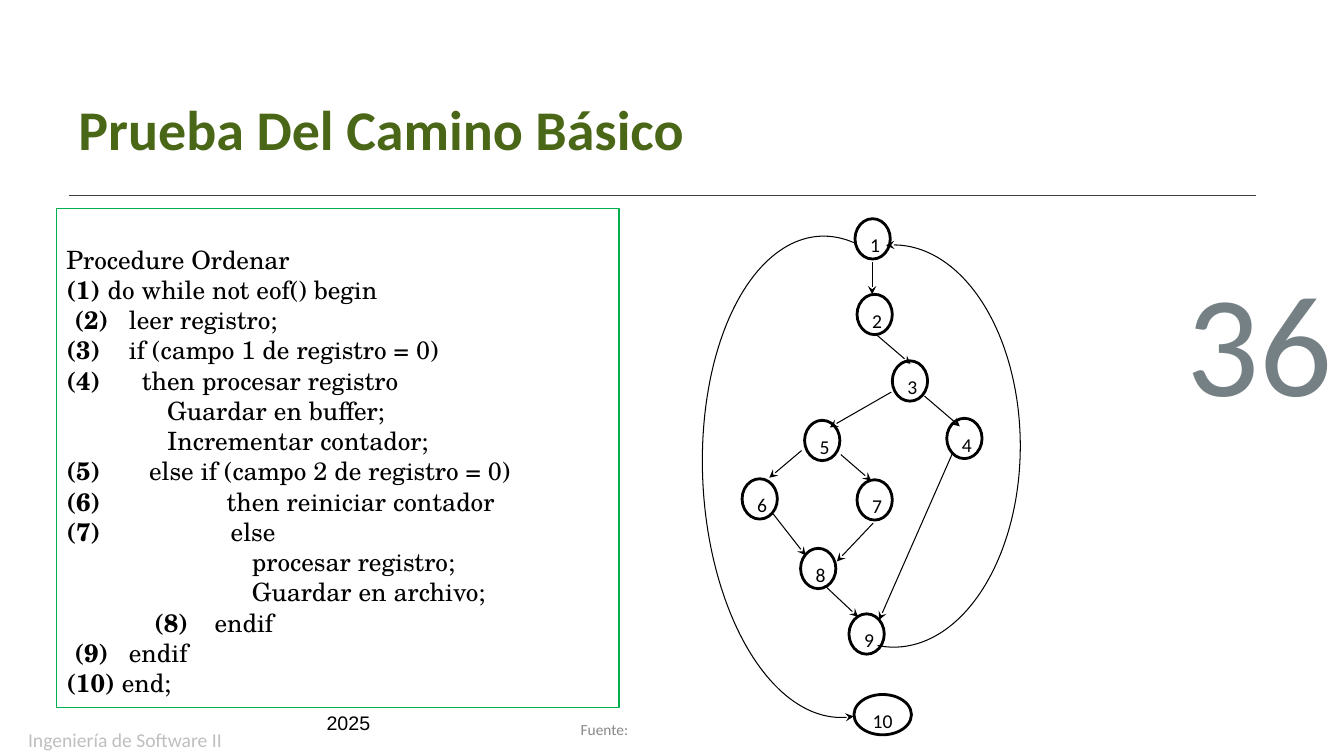
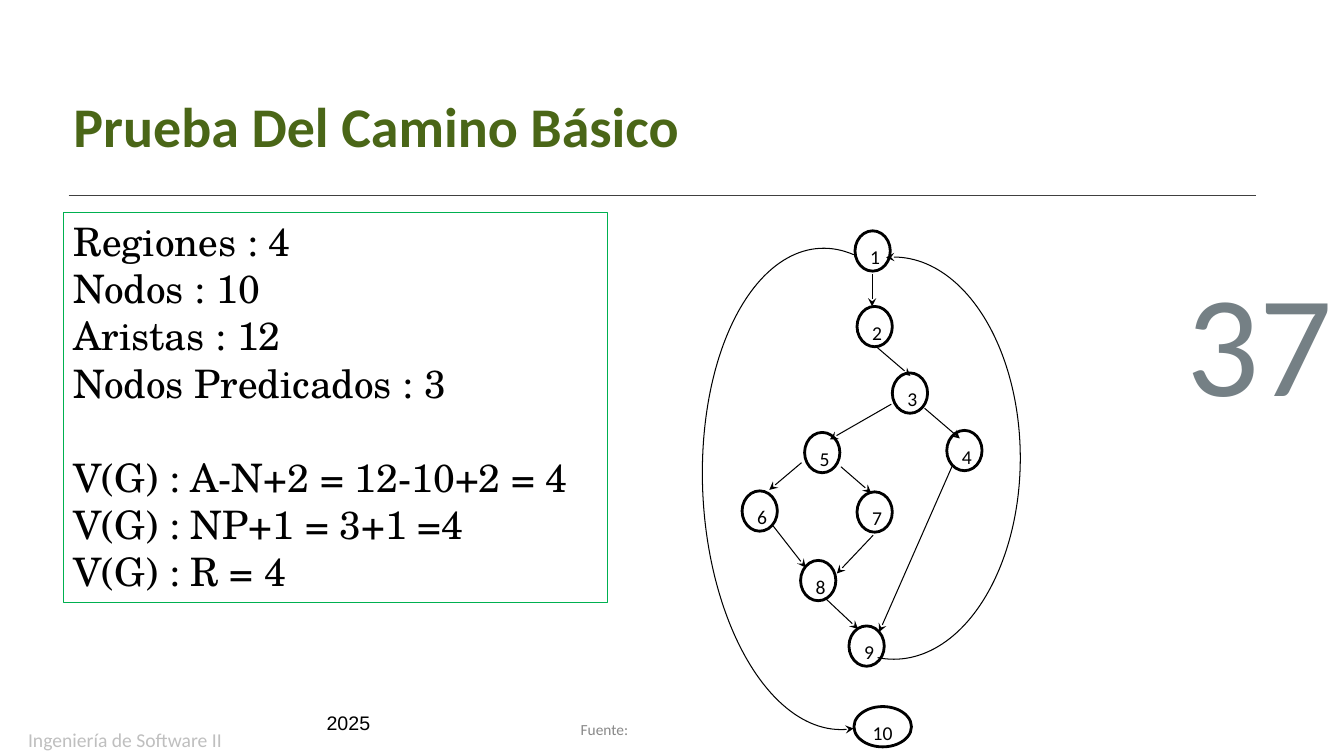
from dataclasses import dataclass

from lxml import etree
from pptx import Presentation
from pptx import util as u
from pptx.dml.color import RGBColor
from pptx.enum import shapes, text
from pptx.oxml.ns import qn

CELL = 0.1  # inches in one column or row of the grid
COLUMNS, ROWS = 133.3, 75

Area = tuple[float, float, float, float]  # column, row, columns wide, rows high


@dataclass(frozen=True)
class Theme:
    ink: str = "000000"
    title: str = "4A6617"
    rule: str = "404040"
    frame: str = "00B050"
    number: str = "758085"
    source: str = "888888"
    course: str = "BFBFBF"
    sans: str = "Calibri"
    serif: str = "TeX Gyre Schola"
    date: str = "Arial"
    title_size: float = 40
    number_size: float = 103
    code_size: float = 18
    result_size: float = 28
    small_size: float = 14
    source_size: float = 11
    thin: float = 0.75
    thick: float = 2


THEME = Theme()


@dataclass(frozen=True)
class Line:
    """A paragraph; its bold marker hangs to the left of the body."""
    body: str
    marker: str = ""
    indent: float = 0
    marker_at: float = 0
    before: float = 0


@dataclass(frozen=True)
class Node:
    label: str
    column: float
    row: float
    columns: float = 3.5


@dataclass(frozen=True)
class Edge:
    start: tuple[float, float]
    end: tuple[float, float]


@dataclass(frozen=True)
class Loop:
    area: Area
    sweep: tuple[float, float]
    rotation: float = 0


CODE = [
    Line("Procedure Ordenar"),
    Line("do while not eof() begin", "(1)", 4.1),
    Line("leer registro;", "(2)", 6.2, 0.8),
    Line("if (campo 1 de registro = 0)", "(3)", 6.2),
    Line("then procesar registro", "(4)", 7.5),
    Line("Guardar en buffer;", indent=10),
    Line("Incrementar contador;", indent=10),
    Line("else if (campo 2 de registro = 0)", "(5)", 8.2),
    Line("then reiniciar contador", "(6)", 15.9),
    Line("else", "(7)", 16.3),
    Line("procesar registro;", indent=18.4),
    Line("Guardar en archivo;", indent=18.4),
    Line("endif", "(8)", 14.7, 8.7),
    Line("endif", "(9)", 6.2, 0.8),
    Line("end;", "(10)", 5.5),
]
RESULTS = [
    Line("Regiones : 4"),
    Line("Nodos : 10"),
    Line("Aristas : 12"),
    Line("Nodos Predicados : 3"),
    Line("V(G) : A-N+2 = 12-10+2 = 4", before=33.6),
    Line("V(G) : NP+1 = 3+1 =4"),
    Line("V(G) : R = 4"),
]

# Rows of the flow graph count from the top of node 1.
NODES = [
    Node("1", 84.8, 0), Node("2", 85, 7.5), Node("3", 88.5, 14.1),
    Node("4", 93.9, 19.8), Node("5", 79.8, 20), Node("6", 73.6, 25.8),
    Node("7", 85, 25.9), Node("8", 79.4, 32.7), Node("9", 84.2, 39.2),
    Node("10", 84.7, 47.2, 5.7),
]
EDGES = [
    Edge((86.5, 4.3), (86.5, 7.5)), Edge((86.8, 11.4), (90.3, 14.4)),
    Edge((91.7, 17.6), (95.2, 20.6)), Edge((88.4, 17.2), (82.3, 20.7)),
    Edge((79.5, 23), (76.3, 25.7)), Edge((83.4, 23.4), (86.4, 26)),
    Edge((76.7, 29.3), (79.9, 33.4)), Edge((86.6, 30.2), (83, 34)),
    Edge((81.8, 36.4), (85.1, 39.5)), Edge((94.5, 23.2), (87.2, 39.8)),
]
LOOPS = [
    Loop((76.1, 2.6, 25.1, 39.9), (160.69, 56.79)),
    Loop((69.7, 1.7, 25.7, 47.8), (160.69, 58.89), 177.1),
]


def cells(*counts: float) -> list[u.Emu]:
    return [u.Inches(count * CELL) for count in counts]


def color(code: str) -> RGBColor:
    return RGBColor.from_string(code)


def write(box, lines: list[Line], *, size: float, font: str = THEME.sans,
          ink: str = THEME.ink, bold: bool = False, align=text.PP_ALIGN.LEFT,
          anchor=text.MSO_ANCHOR.TOP, spacing: float = 1, top: float = 0.5) -> None:
    frame = box.text_frame
    frame.word_wrap = True
    frame.vertical_anchor = anchor
    frame.margin_left, frame.margin_top, frame.margin_right, frame.margin_bottom = cells(1, top, 1, 0.5)
    for index, line in enumerate(lines):
        para = frame.add_paragraph() if index else frame.paragraphs[0]
        para.alignment, para.line_spacing = align, spacing
        para.space_before = u.Pt(line.before)
        if line.indent:
            hang = line.marker_at - line.indent if line.marker else 0
            margin, first = cells(line.indent, hang)
            para._p.get_or_add_pPr().set("marL", str(margin))
            para._p.get_or_add_pPr().set("indent", str(first))
        spans = [(line.marker + "\t", True)] if line.marker else []
        for words, strong in spans + [(line.body, bold)]:
            span = para.add_run()
            span.text = words
            span.font.name, span.font.size, span.font.bold = font, u.Pt(size), strong
            span.font.color.rgb = color(ink)


def add_label(page, area: Area, words: str, **style) -> None:
    write(page.shapes.add_textbox(*cells(*area)), [Line(words)], **style)


def add_outline(page, kind, area: Area, ink: str, width: float):
    shape = page.shapes.add_shape(kind, *cells(*area))
    shape.shadow.inherit = False
    shape.fill.background()
    shape.line.color.rgb, shape.line.width = color(ink), u.Pt(width)
    return shape


def add_arrowhead(item, end: str) -> None:
    """Put a stealth arrowhead at headEnd (start) or tailEnd (end)."""
    etree.SubElement(item.line._get_or_add_ln(), qn(f"a:{end}"), type="stealth")


def add_line(page, start: tuple[float, float], end: tuple[float, float], ink: str):
    line = page.shapes.add_connector(shapes.MSO_CONNECTOR.STRAIGHT, *cells(*start, *end))
    line.line.color.rgb, line.line.width = color(ink), u.Pt(THEME.thin)
    etree.SubElement(line._element.spPr, qn("a:effectLst"))
    return line


def add_frame(page, area: Area, lines: list[Line], size: float, top: float = 0.5) -> None:
    box = add_outline(page, shapes.MSO_SHAPE.RECTANGLE, area, THEME.frame, THEME.thin)
    write(box, lines, size=size, font=THEME.serif, top=top)


def add_graph(page, top: float) -> None:
    for node in NODES:
        area = (node.column, top + node.row, node.columns, 4)
        box = add_outline(page, shapes.MSO_SHAPE.OVAL, area, THEME.ink, THEME.thick)
        write(box, [Line(node.label)], size=THEME.small_size, spacing=1.5,
              align=text.PP_ALIGN.CENTER, anchor=text.MSO_ANCHOR.MIDDLE)
    for edge in EDGES:
        (x1, y1), (x2, y2) = edge.start, edge.end
        add_arrowhead(add_line(page, (x1, top + y1), (x2, top + y2), THEME.ink), "tailEnd")
    for loop in LOOPS:
        column, row, columns, rows = loop.area
        arc = add_outline(page, shapes.MSO_SHAPE.ARC, (column, top + row, columns, rows),
                          THEME.ink, THEME.thin)
        arc.adjustments[0], arc.adjustments[1] = loop.sweep
        arc.rotation = loop.rotation
        add_arrowhead(arc, "headEnd")


def add_page(deck, number: int, title_area: Area):
    """Add a slide with the title, rule, number and footers that all slides share."""
    page = deck.slides.add_slide(deck.slide_layouts[6])
    add_label(page, (31.4, 70, 16.5, 3.4), "2025", size=THEME.small_size, font=THEME.date)
    add_label(page, (56.6, 70.9, 7.2, 2.9), "Fuente:", size=THEME.source_size, ink=THEME.source)
    add_line(page, (6.8, 19.4), (124.6, 19.4), THEME.rule)
    add_label(page, title_area, "Prueba Del Camino Básico", size=THEME.title_size,
              ink=THEME.title, bold=True, spacing=0.85, anchor=text.MSO_ANCHOR.MIDDLE)
    add_label(page, (101.2, 31.2, 32, 11.5), str(number), size=THEME.number_size,
              ink=THEME.number, align=text.PP_ALIGN.RIGHT, anchor=text.MSO_ANCHOR.BOTTOM)
    add_label(page, (1.8, 71.7, 23.6, 2.3), "Ingeniería de Software II",
              size=THEME.small_size, ink=THEME.course)
    return page


def main() -> None:
    deck = Presentation()
    deck.slide_width, deck.slide_height = cells(COLUMNS, ROWS)

    code_page = add_page(deck, 36, (6.8, 7, 109.6, 12.4))
    add_frame(code_page, (5.6, 20.7, 55.8, 49.5), CODE, THEME.code_size, top=3.5)
    add_graph(code_page, 21.7)

    result_page = add_page(deck, 37, (6.3, 6.7, 117.8, 12.4))
    add_graph(result_page, 22.9)
    add_frame(result_page, (6.3, 21.1, 54, 38.7), RESULTS, THEME.result_size)

    deck.save("out.pptx")


if __name__ == "__main__":
    main()
